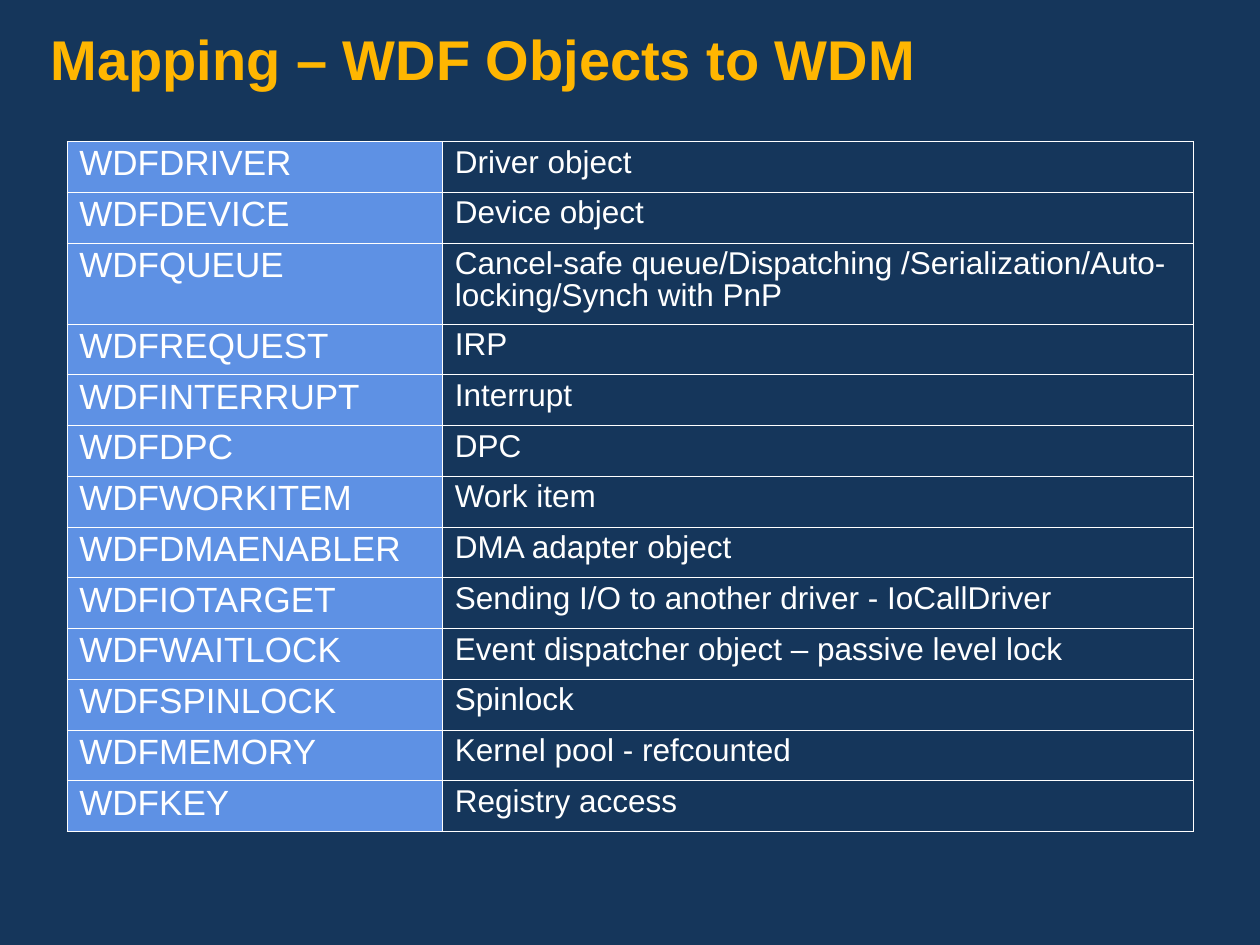
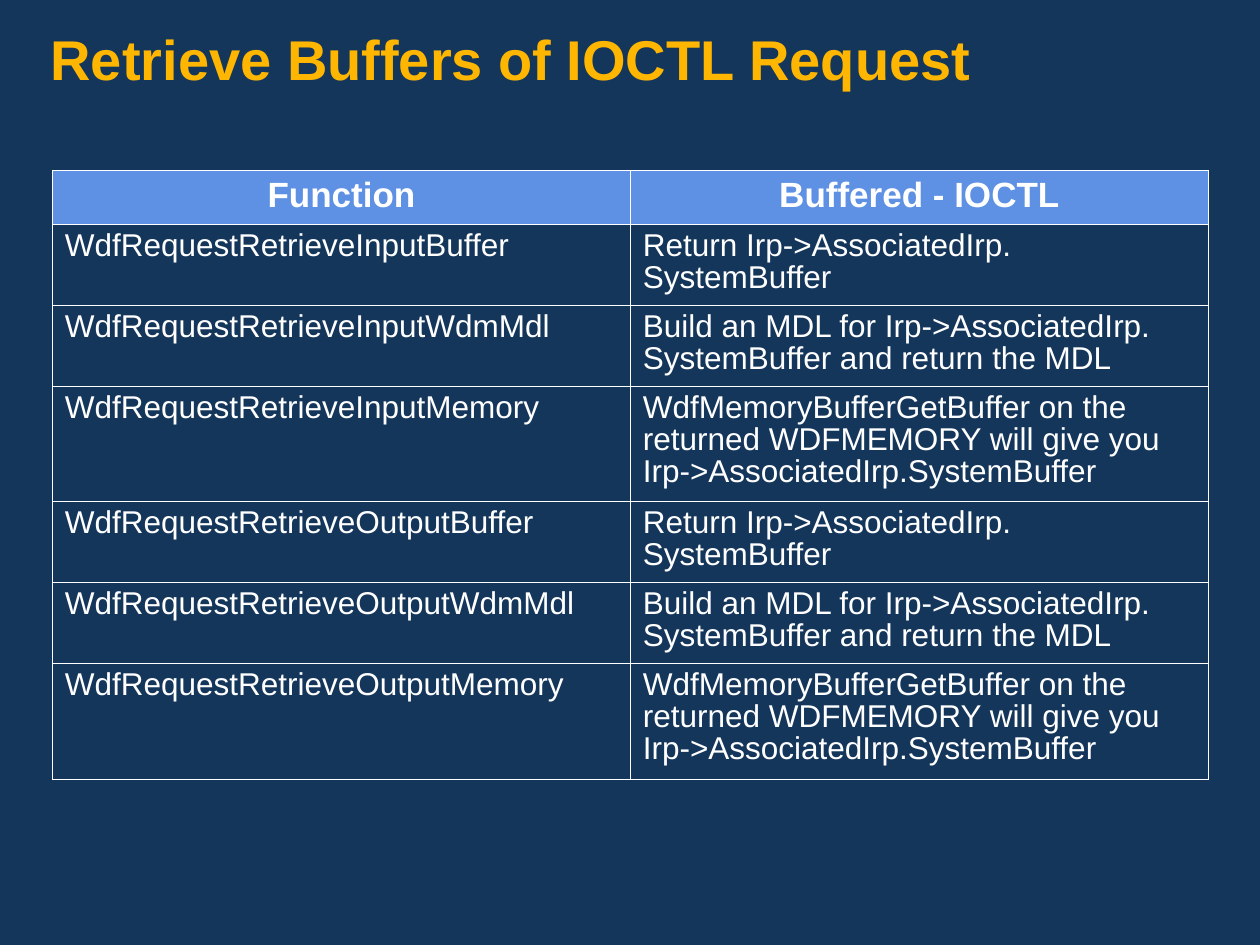
from lxml import etree
from pptx import Presentation
from pptx.dml.color import RGBColor
from pptx.enum.text import MSO_ANCHOR, PP_ALIGN
from pptx.oxml.ns import qn
from pptx.util import Cm, Pt

TOP, MIDDLE = MSO_ANCHOR.TOP, MSO_ANCHOR.MIDDLE
LEFT, CENTER = PP_ALIGN.LEFT, PP_ALIGN.CENTER

# Shared look
FONT = "Arial"
NAVY, GOLD, BLUE, WHITE = "15365B", "FFB601", "5E91E4", "FFFFFF"
BORDER_WIDTH = Pt(0.45)
BLANK_LAYOUT = 6

# Row heights in cm, by number of text lines
ROW_HEIGHTS = {1: 1.02, 2: 1.63, 3: 2.32}
HEADER_HEIGHT = 1.1

# Content
OBJECT_MAPPING = [
    ("WDFDRIVER", "Driver object"),
    ("WDFDEVICE", "Device object"),
    ("WDFQUEUE", "Cancel-safe queue/Dispatching /Serialization/Auto-locking/Synch with PnP"),
    ("WDFREQUEST", "IRP"),
    ("WDFINTERRUPT", "Interrupt"),
    ("WDFDPC", "DPC"),
    ("WDFWORKITEM", "Work item"),
    ("WDFDMAENABLER", "DMA adapter object"),
    ("WDFIOTARGET", "Sending I/O to another driver - IoCallDriver"),
    ("WDFWAITLOCK", "Event dispatcher object – passive level lock"),
    ("WDFSPINLOCK", "Spinlock"),
    ("WDFMEMORY", "Kernel pool - refcounted"),
    ("WDFKEY", "Registry access"),
]
BUFFER_HEADER = ("Function", "Buffered - IOCTL")
BUFFER_RESULTS = [
    ("Buffer", "Return Irp->AssociatedIrp. SystemBuffer"),
    ("WdmMdl", "Build an MDL for Irp->AssociatedIrp. SystemBuffer and return the MDL"),
    ("Memory", "WdfMemoryBufferGetBuffer on the returned WDFMEMORY will give you "
               "Irp->AssociatedIrp.SystemBuffer"),
]


def color(hex_value):
    return RGBColor.from_string(hex_value)


def style_paragraph(paragraph, size, hex_value, bold=False, align=LEFT):
    paragraph.alignment = align
    paragraph.line_spacing = 0.9
    paragraph.space_before = Pt(0)
    font = paragraph.font
    font.name, font.size, font.bold = FONT, Pt(size), bold
    font.color.rgb = color(hex_value)


def add_titled_slide(presentation, title):
    slide = presentation.slides.add_slide(presentation.slide_layouts[BLANK_LAYOUT])
    box = slide.shapes.add_textbox(0, 0, presentation.slide_width, Cm(1.9))
    frame = box.text_frame
    frame.word_wrap = True
    frame.vertical_anchor = TOP
    frame.margin_left = frame.margin_right = Cm(1.02)
    frame.margin_top, frame.margin_bottom = Cm(0.64), Cm(0.13)
    frame.text = title
    style_paragraph(frame.paragraphs[0], 32, GOLD, bold=True)
    return slide


def add_borders(cell):
    properties = cell._tc.get_or_add_tcPr()
    for side in ("a:lnL", "a:lnR", "a:lnT", "a:lnB"):
        line = etree.SubElement(properties, qn(side), w=str(BORDER_WIDTH))
        fill = etree.SubElement(line, qn("a:solidFill"))
        etree.SubElement(fill, qn("a:srgbClr"), val=WHITE)


def fill_cell(cell, text, accented, header):
    cell.text = text
    cell.margin_left = cell.margin_right = Cm(0.25)
    cell.margin_top = cell.margin_bottom = Cm(0.13)
    cell.vertical_anchor = MIDDLE if header else TOP
    add_borders(cell)
    if accented:
        cell.fill.solid()
        cell.fill.fore_color.rgb = color(BLUE)
    else:
        cell.fill.background()
    style_paragraph(cell.text_frame.paragraphs[0], 20 if accented else 18, WHITE,
                    bold=header, align=CENTER if header else LEFT)


def add_grid(slide, rows, left, top, widths, heights, has_header=False):
    """Accents the header row if there is one, otherwise the first column."""
    frame = slide.shapes.add_table(len(rows), len(widths), Cm(left), Cm(top),
                                   Cm(sum(widths)), Cm(sum(heights)))
    table = frame.table
    table.first_row, table.first_col = has_header, not has_header
    table.horz_banding = False
    for column, width in zip(table.columns, widths):
        column.width = Cm(width)
    for row_index, (texts, height) in enumerate(zip(rows, heights)):
        table.rows[row_index].height = Cm(height)
        for column_index, text in enumerate(texts):
            header = has_header and row_index == 0
            accented = header or (not has_header and column_index == 0)
            fill_cell(table.cell(row_index, column_index), text, accented, header)


def add_mapping_slide(presentation):
    slide = add_titled_slide(presentation, "Mapping – WDF Objects to WDM")
    heights = [ROW_HEIGHTS[2 if name == "WDFQUEUE" else 1] for name, _ in OBJECT_MAPPING]
    add_grid(slide, OBJECT_MAPPING, 1.35, 2.85, [7.57, 15.14], heights)


def add_buffers_slide(presentation):
    slide = add_titled_slide(presentation, "Retrieve Buffers of IOCTL Request")
    functions = [(f"WdfRequestRetrieve{direction}{kind}", result)
                 for direction in ("Input", "Output")
                 for kind, result in BUFFER_RESULTS]
    heights = [HEADER_HEIGHT] + [ROW_HEIGHTS[lines] for lines in (2, 2, 3)] * 2
    add_grid(slide, [BUFFER_HEADER] + functions, 1.06, 3.43, [11.65, 11.65], heights,
             has_header=True)


def main():
    presentation = Presentation()
    presentation.slide_width, presentation.slide_height = Cm(25.4), Cm(19.05)
    background = presentation.slide_master.background.fill
    background.solid()
    background.fore_color.rgb = color(NAVY)
    add_mapping_slide(presentation)
    add_buffers_slide(presentation)
    presentation.save("out.pptx")


if __name__ == "__main__":
    main()
